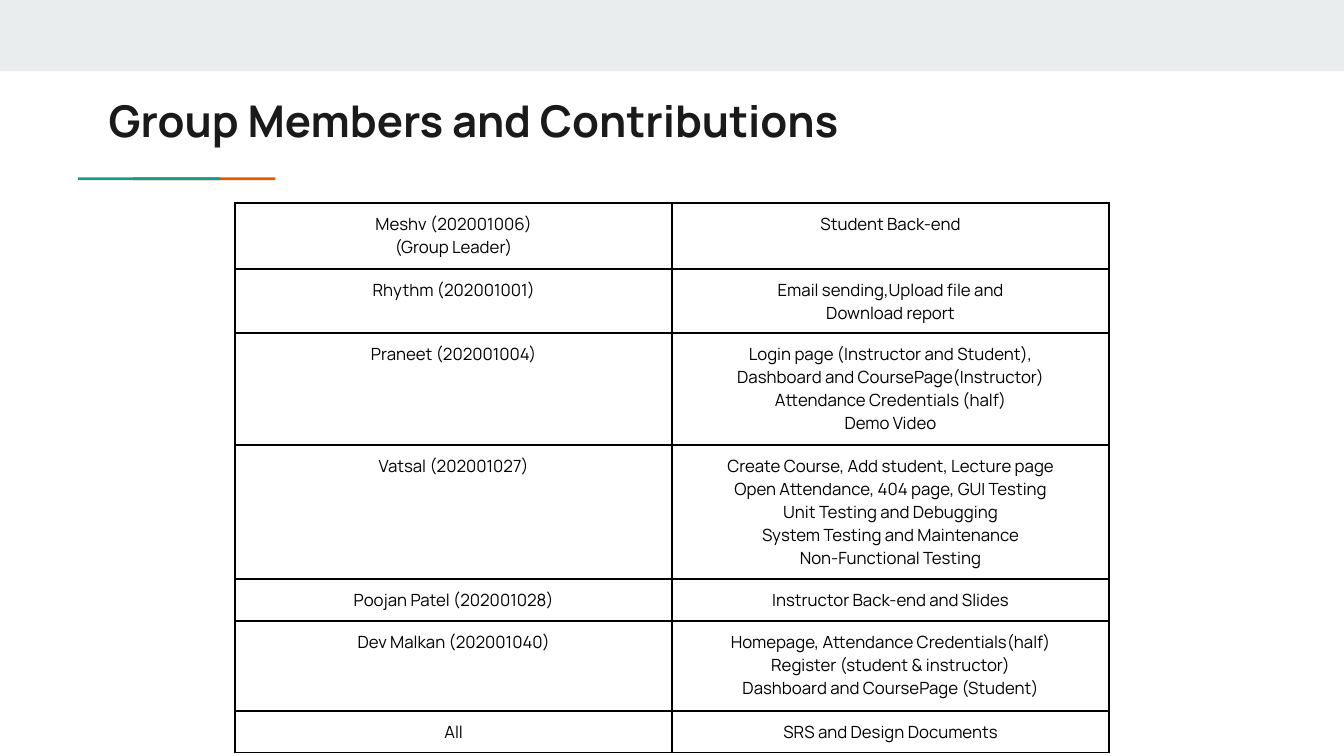
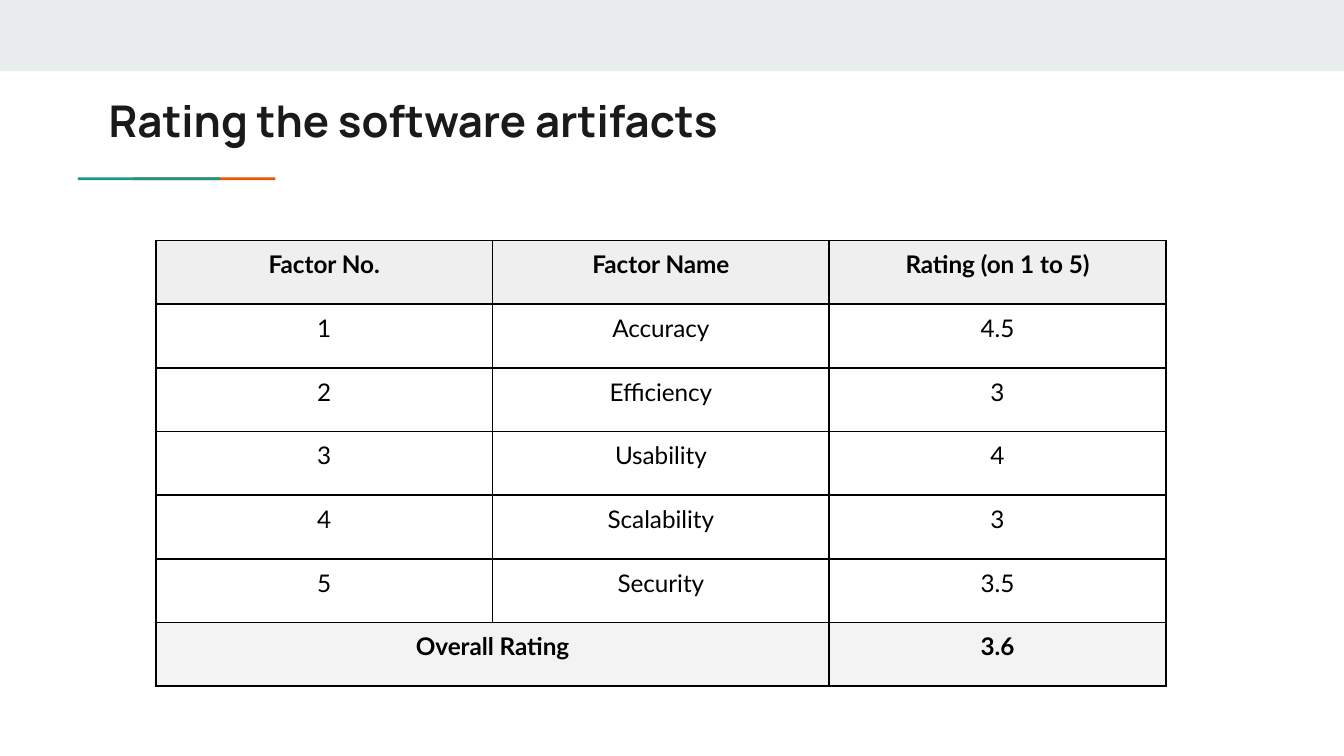
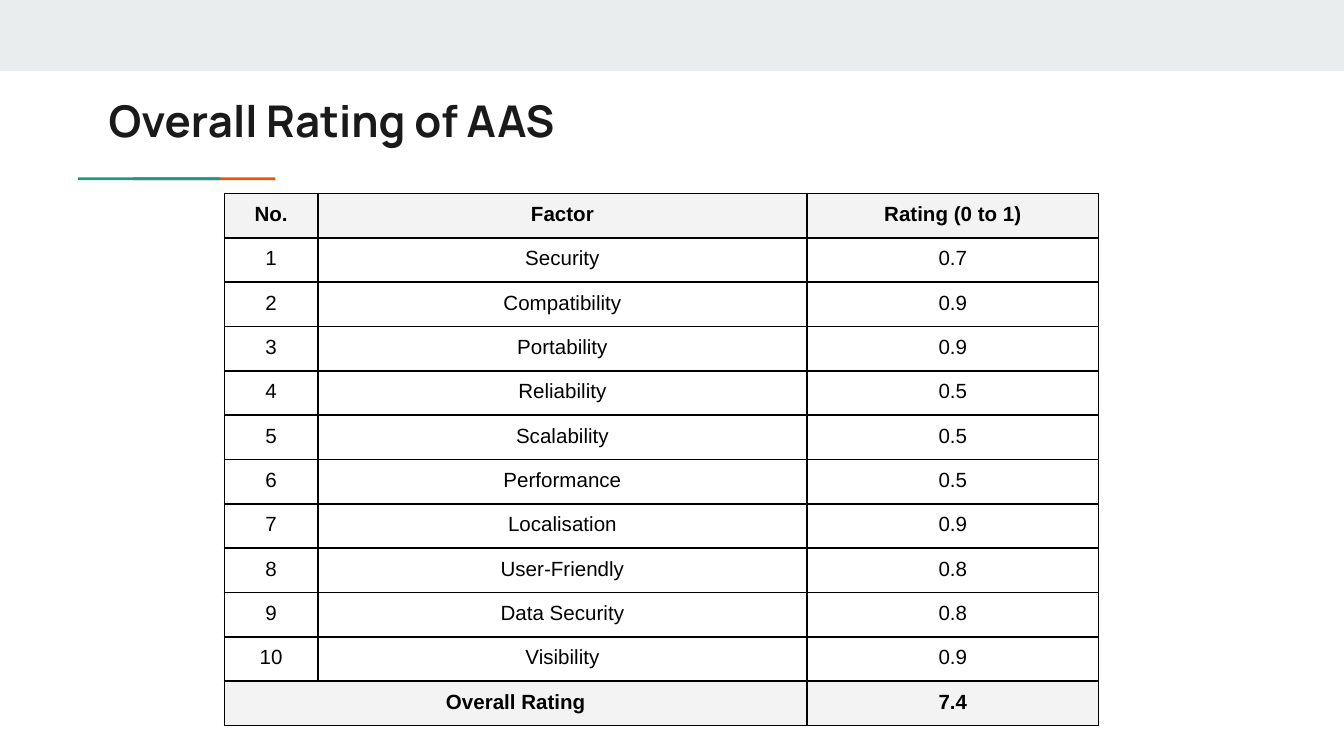
from lxml import etree
from pptx import Presentation
from pptx import util as u
from pptx.dml.color import RGBColor
from pptx.enum import shapes, text
from pptx.oxml.ns import qn

# Grid: ten columns and rows to the inch
COLS, ROWS = 100, 56.25
UNIT = u.Inches(0.1)

BAND, TEAL, ORANGE = "E9EDEE", "1A9988", "EB5600"
INK, BLACK, GREY, PALE = "1A1A1A", "000000", "EFEFEF", "F3F3F3"


def rgb(value):
    return RGBColor.from_string(value)


def grid(n):
    return u.Emu(round(n * UNIT))


class Deck:
    title_font, title_size = "Manrope", 23.4
    cell_inset = 0.7

    def __init__(self):
        self.prs = Presentation()
        self.prs.slide_width, self.prs.slide_height = grid(COLS), grid(ROWS)
        self.s = None

    def slide(self, title):
        """Add a slide with the shared band, accent line and title."""
        self.s = self.prs.slides.add_slide(self.prs.slide_layouts[6])
        self.bar(0, 0, COLS, 5.3, BAND)
        self.bar(9.9, 13.2, 10.6, 0.2, ORANGE)
        self.bar(5.8, 13.2, 10.6, 0.2, TEAL)
        self.title(title)

    def bar(self, x, y, w, h, color):
        sp = self.s.shapes.add_shape(shapes.MSO_SHAPE.RECTANGLE,
                                     grid(x), grid(y), grid(w), grid(h))
        sp.shadow.inherit = False
        sp.fill.solid()
        sp.fill.fore_color.rgb = rgb(color)
        sp.line.fill.background()

    def title(self, words):
        sp = self.s.shapes.add_textbox(grid(7.1), grid(6), grid(84.1), grid(5.9))
        tf = sp.text_frame
        tf.word_wrap = True
        tf.margin_left = tf.margin_right = tf.margin_top = tf.margin_bottom = grid(1)
        tf.vertical_anchor = text.MSO_ANCHOR.MIDDLE
        tf.text = words
        self.style(tf.paragraphs[0], self.title_font, self.title_size, INK, True)

    def style(self, p, font, size, color, bold):
        for r in p.runs:
            r.font.name, r.font.size, r.font.bold = font, u.Pt(size), bold
            r.font.color.rgb = rgb(color)

    def table(self, x, y, widths, heights, rows, font, size, fills=None, total=False):
        """Fill a bordered table; fills maps emphasised row numbers to colours."""
        fills = fills or {}
        tbl = self.s.shapes.add_table(len(rows), len(widths), grid(x), grid(y),
                                      grid(sum(widths)), grid(sum(heights))).table
        tbl.first_row = tbl.horz_banding = False
        for col, w in zip(tbl.columns, widths):
            col.width = grid(w)
        for i, (row, h) in enumerate(zip(rows, heights)):
            tbl.rows[i].height = grid(h)
            for j, words in enumerate(row):
                self.cell(tbl.cell(i, j), words, font, size, fills.get(i))
        if total:
            last = len(rows) - 1
            tbl.cell(last, 0).merge(tbl.cell(last, 1))

    def cell(self, cell, words, font, size, fill):
        inset = grid(self.cell_inset)
        cell.margin_left = cell.margin_right = inset
        cell.margin_top = cell.margin_bottom = inset
        self.borders(cell)
        if fill:
            cell.fill.solid()
            cell.fill.fore_color.rgb = rgb(fill)
        else:
            cell.fill.background()
        cell.text_frame.text = words
        for p in cell.text_frame.paragraphs:
            p.alignment = text.PP_ALIGN.CENTER
            self.style(p, font, size, BLACK, fill is not None)

    def borders(self, cell):
        pr = cell._tc.get_or_add_tcPr()
        for side in ("a:lnL", "a:lnR", "a:lnT", "a:lnB"):
            ln = etree.SubElement(pr, qn(side), w=str(u.Pt(1)))
            solid = etree.SubElement(ln, qn("a:solidFill"))
            etree.SubElement(solid, qn("a:srgbClr"), val=BLACK)


MEMBERS = [
    ("Meshv (202001006)\n(Group Leader)", "Student Back-end"),
    ("Rhythm (202001001)", "Email sending,Upload file and\nDownload report"),
    ("Praneet (202001004)",
     "Login page (Instructor and Student),\nDashboard and CoursePage(Instructor)\n"
     "Attendance Credentials (half)\nDemo Video"),
    ("Vatsal (202001027)",
     "Create Course, Add student, Lecture page\nOpen Attendance, 404 page, GUI Testing\n"
     "Unit Testing and Debugging\nSystem Testing and Maintenance\nNon-Functional Testing"),
    ("Poojan Patel (202001028)", "Instructor Back-end and Slides"),
    ("Dev Malkan (202001040)",
     "Homepage, Attendance Credentials(half)\nRegister (student & instructor)\n"
     "Dashboard and CoursePage (Student)"),
    ("All", "SRS and Design Documents"),
]
ARTIFACTS = [("Accuracy", "4.5"), ("Efficiency", "3"), ("Usability", "4"),
             ("Scalability", "3"), ("Security", "3.5")]
FACTORS = [("Security", "0.7"), ("Compatibility", "0.9"), ("Portability", "0.9"),
           ("Reliability", "0.5"), ("Scalability", "0.5"), ("Performance", "0.5"),
           ("Localisation", "0.9"), ("User-Friendly", "0.8"),
           ("Data Security", "0.8"), ("Visibility", "0.9")]


def rating_rows(header, ratings, overall):
    numbered = [(str(n), *rating) for n, rating in enumerate(ratings, 1)]
    return [header, *numbered, ("Overall Rating", "", overall)]


def main():
    deck = Deck()

    # Group members
    deck.slide("Group Members and Contributions")
    deck.table(17.5, 15.1, [32.5] * 2, [4.9, 4.8, 8.3, 10, 3.1, 6.7, 3.1],
               MEMBERS, "Manrope", 9)

    # Software artifacts
    deck.slide("Rating the software artifacts")
    rows = rating_rows(("Factor No.", "Factor Name", "Rating (on 1 to 5)"), ARTIFACTS, "3.6")
    deck.table(11.6, 17.9, [25.05] * 3, [4.74] * len(rows), rows, "Lato", 13,
               {0: GREY, len(rows) - 1: PALE}, total=True)

    # Overall rating
    deck.slide("Overall Rating of AAS")
    rows = rating_rows(("No.", "Factor", "Rating (0 to 1)"), FACTORS, "7.4")
    deck.table(16.7, 14.4, [6.95, 36.4, 21.7], [3.3] * len(rows), rows, "Arial", 11,
               {0: PALE, len(rows) - 1: PALE}, total=True)

    deck.prs.save("out.pptx")


if __name__ == "__main__":
    main()
